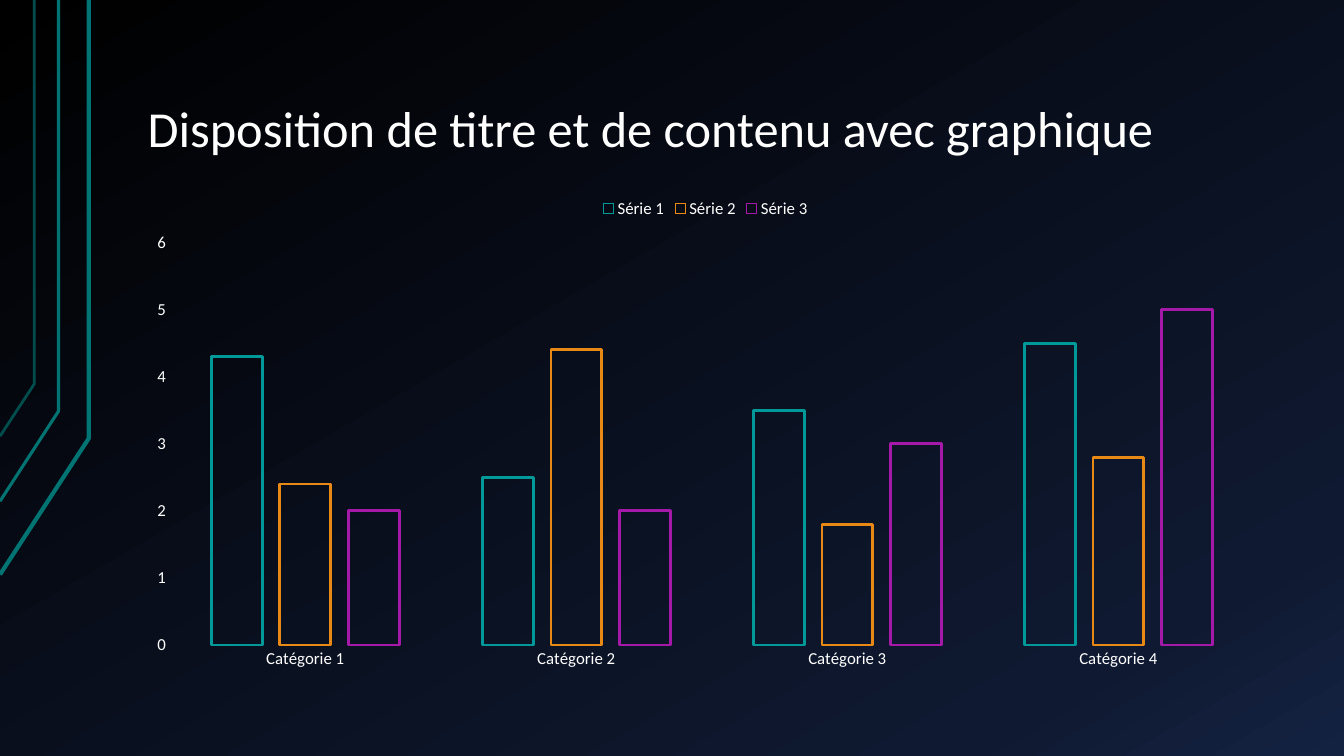
import copy

import pptx
import pptx.util
import pptx.dml.color
import pptx.chart.data
import pptx.enum.chart
import pptx.enum.text

FONT, WHITE, TEAL, DIM = "Calibri", "FFFFFF", "007373", "004D4D"
LEFT, WIDE = 0.1, 0.85


def tint(code):
    """Turn a hex string into a colour."""
    return pptx.dml.color.RGBColor.from_string(code)


class Deck:
    """Holds the style and the current slide."""

    def __init__(self, wide, high):
        """Start a deck with one title slide; size in inches."""
        self.show = pptx.Presentation()
        self.wide = self.show.slide_width = pptx.util.Inches(wide)
        self.high = self.show.slide_height = pptx.util.Inches(high)
        self.slide = self.show.slides.add_slide(self.show.slide_layouts[5])

    def box(self, left, top, wide, high):
        """Convert shares of the slide to lengths."""
        return (round(left * self.wide), round(top * self.high),
                round(wide * self.wide), round(high * self.high))

    def style(self, font, size):
        """Apply the house font and text colour."""
        font.name, font.size = FONT, pptx.util.Pt(size)
        font.color.rgb = tint(WHITE)

    def edge(self, line, code, width):
        """Colour and size an outline."""
        line.color.rgb = tint(code)
        line.width = pptx.util.Pt(width)

    def back(self, angle, stops):
        """Fill the background with a gradient of (share, colour) stops."""
        fill = self.slide.background.fill
        fill.gradient()
        fill.gradient_angle = angle
        first = fill.gradient_stops[0]._gs
        for _ in stops[2:]:
            first.addnext(copy.deepcopy(first))
        for stop, (share, code) in zip(fill.gradient_stops, stops):
            stop.position = share
            stop.color.rgb = tint(code)

    def bend(self, across, knee, end, code, width):
        """Draw a line down from the top edge, bent to the left edge."""
        x, y, _, low = self.box(across, knee, 0, end)
        pen = self.slide.shapes.build_freeform(0, low)
        pen.add_line_segments([(x, y), (x, 0)], close=False)
        shape = pen.convert_to_shape()
        shape.shadow.inherit = False
        shape.fill.background()
        self.edge(shape.line, code, width)

    def title(self, text, place, size):
        """Move, fill and format the title."""
        shape = self.slide.shapes.title
        shape.left, shape.top, shape.width, shape.height = self.box(*place)
        frame = shape.text_frame
        frame.auto_size = pptx.enum.text.MSO_AUTO_SIZE.NONE
        frame.word_wrap = True
        frame.vertical_anchor = pptx.enum.text.MSO_ANCHOR.BOTTOM
        frame.margin_left = frame.margin_right = pptx.util.Inches(0.13)
        frame.margin_top = frame.margin_bottom = pptx.util.Inches(0.07)
        para = frame.paragraphs[0]
        para.alignment = pptx.enum.text.PP_ALIGN.LEFT
        para.line_spacing = 0.9
        run = para.add_run()
        run.text = text
        self.style(run.font, size)

    def chart(self, place, names, rows, size):
        """Add outlined columns from (name, colour, values) rows."""
        data = pptx.chart.data.CategoryChartData()
        data.categories = names
        for name, _, values in rows:
            data.add_series(name, values)
        kind = pptx.enum.chart.XL_CHART_TYPE.COLUMN_CLUSTERED
        chart = self.slide.shapes.add_chart(kind, *self.box(*place), data).chart
        chart.has_title = False
        self.style(chart.font, size)
        chart.has_legend = True
        chart.legend.position = pptx.enum.chart.XL_LEGEND_POSITION.TOP
        chart.legend.include_in_layout = False
        self.style(chart.legend.font, size)
        for axis in (chart.category_axis, chart.value_axis):
            axis.has_major_gridlines = False
            axis.major_tick_mark = pptx.enum.chart.XL_TICK_MARK.NONE
            axis.minor_tick_mark = pptx.enum.chart.XL_TICK_MARK.NONE
            axis.format.line.fill.background()
            self.style(axis.tick_labels.font, size)
        scale = chart.value_axis
        scale.minimum_scale, scale.maximum_scale, scale.major_unit = 0, 6, 1
        plot = chart.plots[0]
        plot.vary_by_categories = False
        plot.gap_width, plot.overlap = 164, -35
        for bars, (_, code, _) in zip(plot.series, rows):
            bars.invert_if_negative = False
            bars.format.fill.background()
            self.edge(bars.format.line, code, 2)


def main():
    """Build and save the slide."""
    deck = Deck(13.33, 7.5)
    deck.back(300, [(0, "000000"), (0.85, "0F1931"), (1, "142242")])
    deck.bend(0.066, 0.58, 0.76, TEAL, 3)
    deck.bend(0.0435, 0.544, 0.663, TEAL, 2.25)
    deck.bend(0.0255, 0.508, 0.577, DIM, 2)
    deck.title("Disposition de titre et de contenu avec graphique",
               (LEFT, 0.04, WIDE, 0.179), 36)
    deck.chart((LEFT, 0.248, WIDE, 0.65),
               [f"Catégorie {n}" for n in range(1, 5)],
               [("Série 1", "009999", (4.3, 2.5, 3.5, 4.5)),
                ("Série 2", "E98915", (2.4, 4.4, 1.8, 2.8)),
                ("Série 3", "A419A7", (2, 2, 3, 5))], 12)
    deck.show.save("out.pptx")


main()
